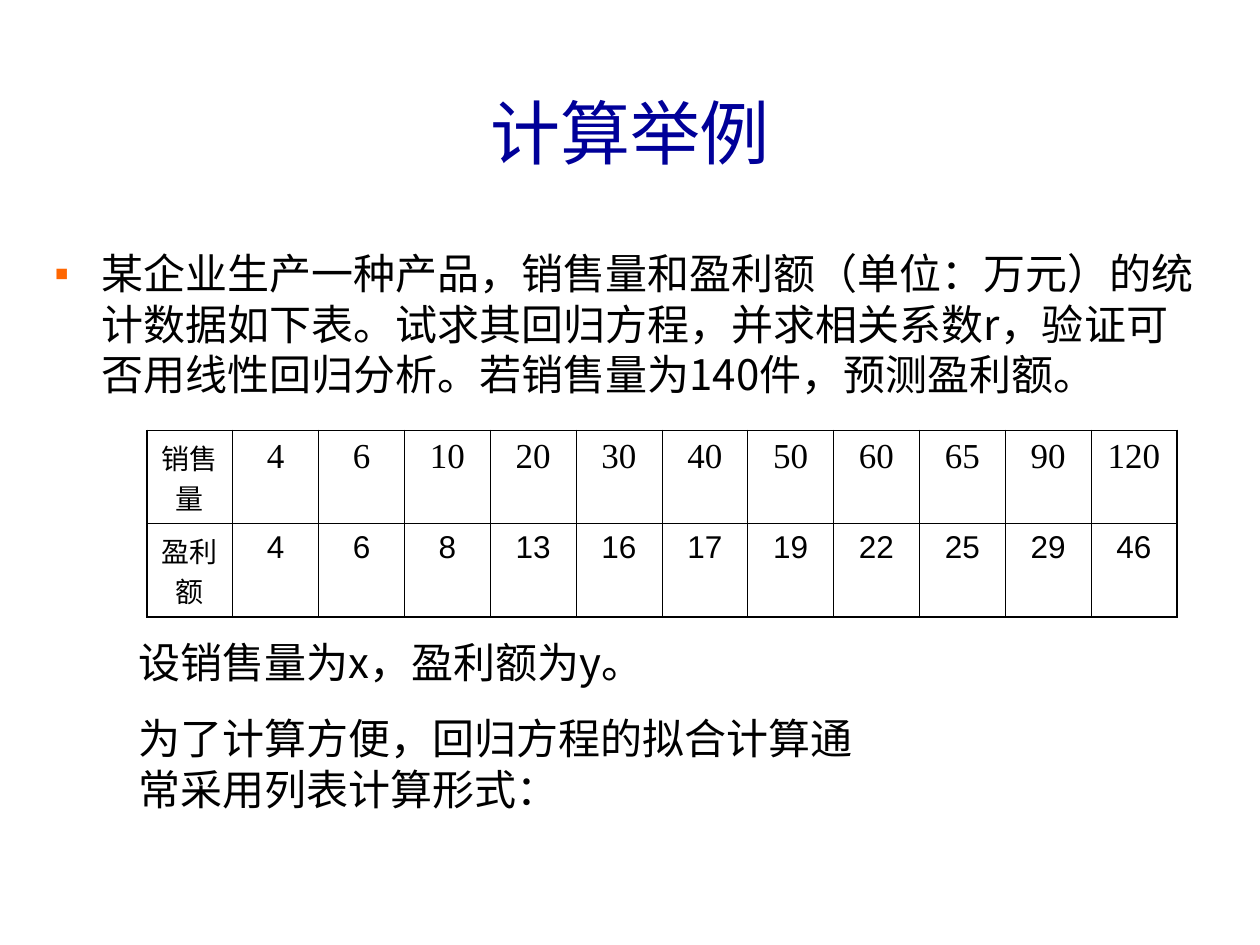
from lxml import etree
from pptx import Presentation
from pptx.dml.color import RGBColor
from pptx.enum import text
from pptx.oxml.ns import qn
from pptx.util import Pt

NAVY = RGBColor(0x00, 0x00, 0x99)
BLACK = RGBColor(0x00, 0x00, 0x00)
ORANGE = RGBColor(0xFF, 0x66, 0x00)
SANS, SERIF, CJK = "Arial", "Times New Roman", "Noto Sans CJK SC"

SALES = ["销售量", 4, 6, 10, 20, 30, 40, 50, 60, 65, 90, 120]
PROFIT = ["盈利额", 4, 6, 8, 13, 16, 17, 19, 22, 25, 29, 46]
THIN, THICK = 0.45, 1.08


def add_run(p, words, size, font, color=BLACK):
    r = p.add_run()
    r.text = words
    r.font.size, r.font.name = Pt(size), font
    r.font.color.rgb = color
    ea = etree.SubElement(r.font._element, qn("a:ea"))
    ea.set("typeface", CJK)


def add_box(s, x, y, w, h):
    tf = s.shapes.add_textbox(Pt(x), Pt(y), Pt(w), Pt(h)).text_frame
    tf.word_wrap = True
    return tf


def add_bullet(p, char, color, indent):
    pPr = p._p.get_or_add_pPr()
    pPr.set("marL", str(Pt(indent)))
    pPr.set("indent", str(-Pt(indent)))
    clr = etree.SubElement(pPr, qn("a:buClr"))
    etree.SubElement(clr, qn("a:srgbClr")).set("val", str(color))
    etree.SubElement(pPr, qn("a:buFont")).set("typeface", SANS)
    etree.SubElement(pPr, qn("a:buChar")).set("char", char)


def add_title(s, x, y, w, h):
    tf = add_box(s, x, y, w, h)
    tf.vertical_anchor = text.MSO_ANCHOR.MIDDLE
    p = tf.paragraphs[0]
    p.alignment = text.PP_ALIGN.CENTER
    add_run(p, "计算举例", 40, SANS, NAVY)


def add_problem(s, x, y, w, h):
    p = add_box(s, x, y, w, h).paragraphs[0]
    add_bullet(p, "▪", ORANGE, 27)
    p.line_spacing = Pt(28.8)
    add_run(p, "某企业生产一种产品，销售量和盈利额（单位：万元）的统计数据如下表。"
               "试求其回归方程，并求相关系数r，验证可否用线性回归分析。"
               "若销售量为140件，预测盈利额。", 24, CJK)


def set_borders(cell, widths):
    tcPr = cell._tc.get_or_add_tcPr()
    for i, (side, width) in enumerate(widths.items()):
        ln = etree.Element(qn("a:ln" + side), w=str(Pt(width)))
        fill = etree.SubElement(ln, qn("a:solidFill"))
        etree.SubElement(fill, qn("a:srgbClr")).set("val", str(BLACK))
        tcPr.insert(i, ln)


def add_data_table(s, x, y, w, h):
    # Each row: values, number size, number font
    rows = [(SALES, 20, SERIF), (PROFIT, 18, SANS)]
    last_row, last_col = len(rows) - 1, len(SALES) - 1
    table = s.shapes.add_table(len(rows), len(SALES), Pt(x), Pt(y), Pt(w), Pt(h)).table
    table.first_row = table.horz_banding = False
    for i, (values, size, font) in enumerate(rows):
        for j, value in enumerate(values):
            cell = table.cell(i, j)
            cell.fill.background()
            p = cell.text_frame.paragraphs[0]
            p.alignment = text.PP_ALIGN.CENTER
            if j == 0:
                add_run(p, value, 16, SANS)
            else:
                add_run(p, str(value), size, font)
            # Thick outer frame, thin inner rules
            set_borders(cell, {
                "L": THICK if j == 0 else THIN,
                "R": THICK if j == last_col else THIN,
                "T": THICK if i == 0 else THIN,
                "B": THICK if i == last_row else THIN,
            })


def add_notes_below(s, x, y, w, h):
    tf = add_box(s, x, y, w, h)
    lines = ["设销售量为x，盈利额为y。",
             "为了计算方便，回归方程的拟合计算通常采用列表计算形式："]
    for i, line in enumerate(lines):
        p = tf.add_paragraph() if i else tf.paragraphs[0]
        p.space_before = Pt(15 if i else 0)
        p.line_spacing = Pt(28.8)
        add_run(p, line, 24, CJK)


def main():
    prs = Presentation()
    prs.slide_width, prs.slide_height = Pt(720), Pt(540)
    s = prs.slides.add_slide(prs.slide_layouts[6])
    add_title(s, 24, 30, 672, 90)
    add_problem(s, 24, 138, 672, 102)
    add_data_table(s, 84, 246, 588.5, 106.6)
    add_notes_below(s, 72, 360, 432, 109)
    prs.save("out.pptx")


if __name__ == "__main__":
    main()
